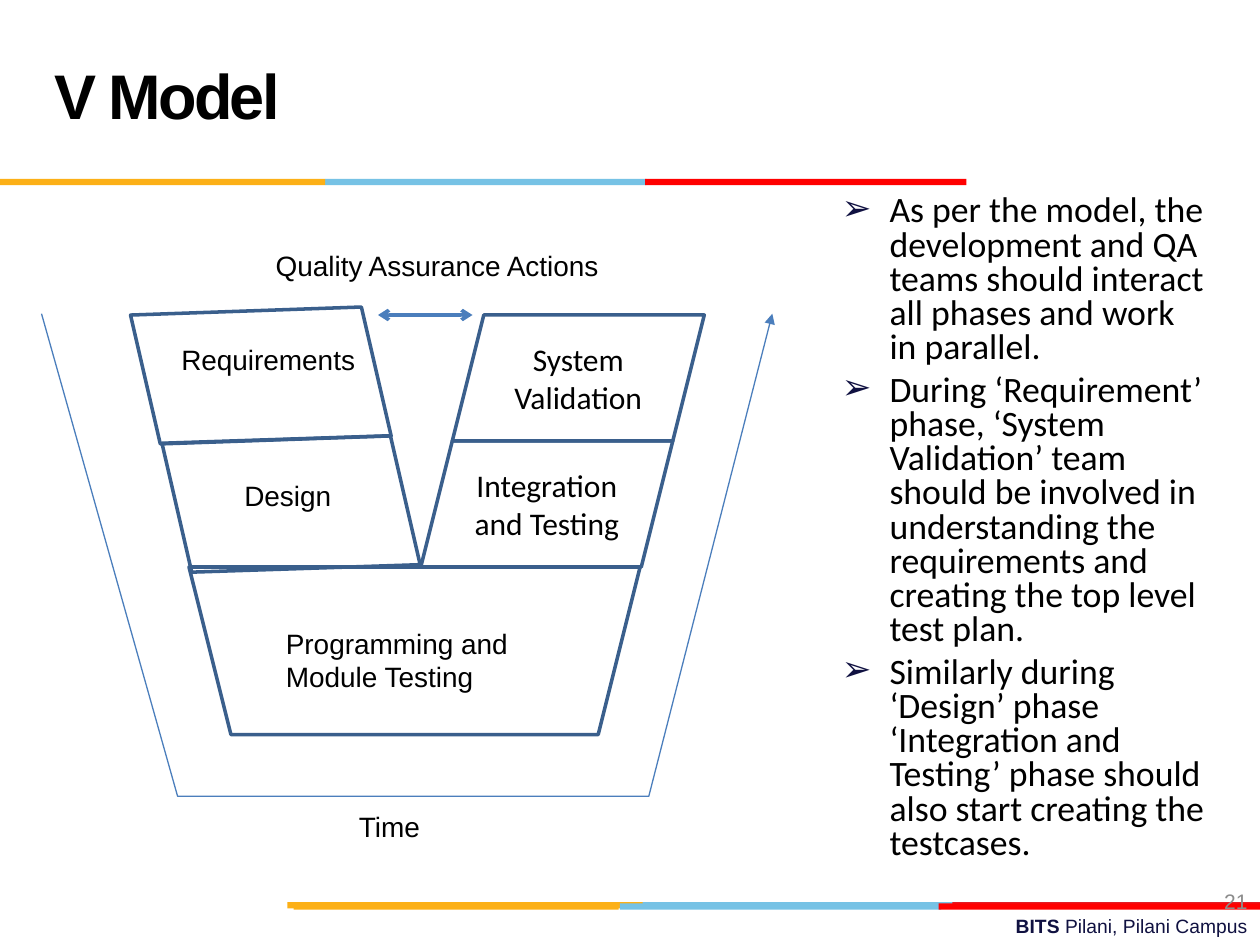
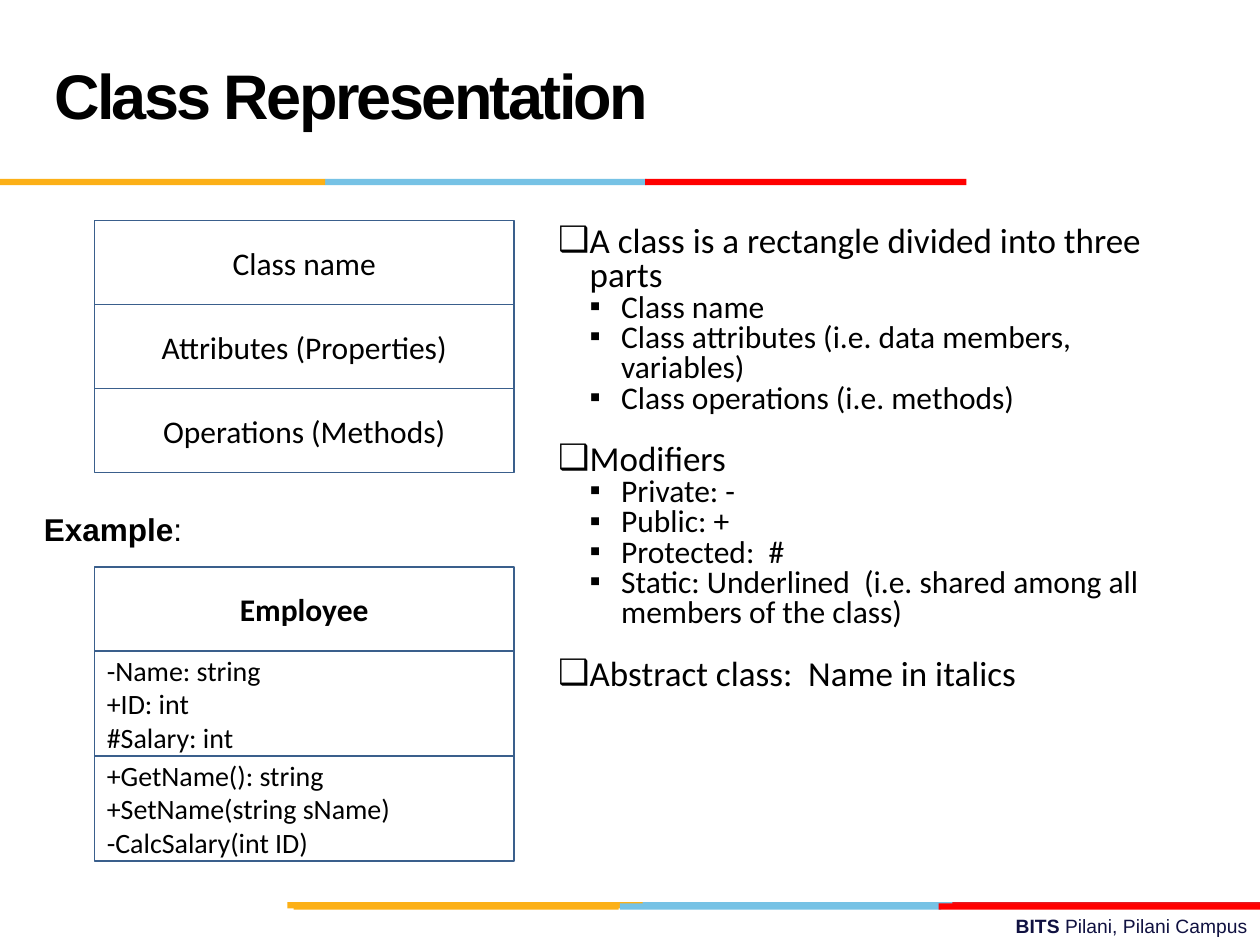
from lxml import etree
from pptx import Presentation
from pptx.dml.color import RGBColor
from pptx.enum.shapes import MSO_CONNECTOR, MSO_SHAPE
from pptx.enum.text import MSO_ANCHOR, MSO_AUTO_SIZE, PP_ALIGN
from pptx.oxml.ns import qn
from pptx.util import Inches, Pt

# Shared look
BLACK = RGBColor(0x00, 0x00, 0x00)
NAVY = RGBColor(0x10, 0x11, 0x41)
GRAY = RGBColor(0x8C, 0x8C, 0x8C)
GOLD = RGBColor(0xFC, 0xB0, 0x17)
SKY = RGBColor(0x76, 0xC2, 0xE5)
CRIMSON = RGBColor(0xE3, 0x1C, 0x24)
RED = RGBColor(0xFF, 0x00, 0x00)
EDGE = RGBColor(0x3A, 0x5F, 0x8C)
ARROW = RGBColor(0x4B, 0x7E, 0xBC)
HEAD, BODY = "Arial", "Calibri"

BAND = 0.05
BANDS = [  # left, top, width, colour
    (5.06, 7.16, 2.55, SKY), (7.56, 7.16, 2.44, CRIMSON), (2.28, 7.16, 2.82, GOLD),
    (4.92, 7.17, 2.55, SKY), (2.33, 7.17, 2.58, GOLD), (7.45, 7.17, 2.55, RED),
    (2.58, 1.42, 2.55, SKY), (0, 1.42, 2.58, GOLD), (5.12, 1.42, 2.55, RED),
]
FOOTER = ("BITS ", "Pilani, Pilani Campus")

# V Model content
PHASES = [  # preset, box, rotation, text
    (MSO_SHAPE.PARALLELOGRAM, (3.59, 2.5, 2, 1), 0, "System Validation"),
    (MSO_SHAPE.PARALLELOGRAM, (3.34, 3.5, 2, 1), 0, "Integration and Testing"),
    (MSO_SHAPE.PARALLELOGRAM, (1.61, 3.11, 1.4, 1.78), 77, ""),
    (MSO_SHAPE.PARALLELOGRAM, (1.37, 2.08, 1.4, 1.8), 77, ""),
    (MSO_SHAPE.TRAPEZOID, (1.5, 4.5, 3.58, 1.33), 180, ""),
]
LABELS = [
    ((2.17, 4.92, 2.28, 0.64), "Programming and\nModule Testing"),
    ((1.84, 3.75, 0.92, 0.37), "Design"),
    ((1.34, 2.67, 1.58, 0.37), "Requirements"),
    ((2.75, 6.38, 0.92, 0.37), "Time"),
    ((2.09, 1.92, 2.83, 0.37), "Quality Assurance Actions"),
]
TIME = [(0.33, 2.49), (1.41, 6.32), (5.15, 6.32), (6.13, 2.49)]
NOTES = [
    "As per the model, the development and QA teams should interact all phases "
    "and work in parallel.",
    "During ‘Requirement’ phase, ‘System Validation’ team should be involved in "
    "understanding the requirements and creating the top level test plan.",
    "Similarly during ‘Design’ phase ‘Integration and Testing’ phase should also "
    "start creating the testcases.",
]

# Class Representation content
PARTS = ["Class name", "Attributes (Properties)", "Operations (Methods)"]
SAMPLE = [
    "Employee",
    "-Name: string\n+ID: int\n#Salary: int",
    "+GetName(): string\n+SetName(string sName)\n-CalcSalary(int ID)",
]
RULES = [
    ("A class is a rectangle divided into three parts",
     ["Class name", "Class attributes (i.e. data members, variables)",
      "Class operations (i.e. methods)"]),
    ("Modifiers",
     ["Private: -", "Public: +", "Protected:  #",
      "Static: Underlined  (i.e. shared among all members of the class)"]),
    ("Abstract class:  Name in italics", []),
]


def inch(box):
    return [Inches(v) for v in box]


def style(para, size, face=HEAD, color=BLACK, bold=False, align=PP_ALIGN.LEFT):
    para.alignment = align
    for run in para.runs:
        font = run.font
        font.size, font.name, font.bold = Pt(size), face, bold
        font.color.rgb = color


def write(frame, text, size, **look):
    frame.text = text
    for para in frame.paragraphs:
        style(para, size, **look)


def label(slide, box, text, size, **look):
    frame = slide.shapes.add_textbox(*inch(box)).text_frame
    frame.word_wrap = True
    write(frame, text, size, **look)
    return frame


def lead(slide, box, words, size, **look):
    """Label whose first part is bold and the rest is plain."""
    frame = label(slide, box, words[0], size, **look)
    para = frame.paragraphs[0]
    para.add_run().text = words[1]
    style(para, size, **look)
    para.runs[0].font.bold = True


def draw(slide, kind, box, fill=None, width=0):
    shape = slide.shapes.add_shape(kind, *inch(box))
    shape.shadow.inherit = False
    if fill is None:
        shape.fill.background()
    else:
        shape.fill.solid()
        shape.fill.fore_color.rgb = fill
    if width:
        shape.line.color.rgb, shape.line.width = EDGE, Pt(width)
    else:
        shape.line.fill.background()
    shape.text_frame.vertical_anchor = MSO_ANCHOR.MIDDLE
    return shape


def tip(shape, **ends):
    line = shape.line._get_or_add_ln()
    for end, kind in ends.items():
        etree.SubElement(line, qn(f"a:{end}")).set("type", kind)


def bullet(para, mark, left, hang, color):
    props = para._p.get_or_add_pPr()
    props.set("marL", str(Inches(left)))
    props.set("indent", str(-Inches(hang)))
    tint = etree.SubElement(props, qn("a:buClr"))
    etree.SubElement(tint, qn("a:srgbClr")).set("val", str(color))
    etree.SubElement(props, qn("a:buChar")).set("char", mark)


def listing(slide, box, items):
    """Items: text, size, mark, level, left, hang, mark colour, space before."""
    body = slide.placeholders[1]
    body.left, body.top, body.width, body.height = inch(box)
    frame = body.text_frame
    frame.auto_size = MSO_AUTO_SIZE.NONE
    frame.text = "\n".join(item[0] for item in items)
    for para, item in zip(frame.paragraphs, items):
        _, size, mark, level, left, hang, color, gap = item
        para.level = level
        para.line_spacing, para.space_before = 0.8, Pt(gap)
        bullet(para, mark, left, hang, color)
        style(para, size, face=BODY)


def page(deck, name):
    slide = deck.slides.add_slide(deck.slide_layouts[1])
    # Bands and footer
    for left, top, width, color in BANDS:
        draw(slide, MSO_SHAPE.RECTANGLE, (left, top, width, BAND), color)
    lead(slide, (3.58, 7.21, 6.42, 0.29), FOOTER, 11, color=NAVY, align=PP_ALIGN.RIGHT)
    # Title
    title = slide.shapes.title
    title.left, title.top, title.width, title.height = inch((0.33, 0.17, 6.92, 1.25))
    frame = title.text_frame
    frame.auto_size = MSO_AUTO_SIZE.NONE
    frame.vertical_anchor = MSO_ANCHOR.MIDDLE
    write(frame, name, 36, bold=True)
    para = frame.paragraphs[0]
    para.line_spacing = Pt(36)
    para.runs[0].font._element.set("spc", "-150")
    return slide


def model(deck):
    slide = page(deck, "V Model")
    frame = label(slide, (7.67, 6.95, 2.33, 0.4), "21", 12, color=GRAY,
                  align=PP_ALIGN.RIGHT)
    frame.vertical_anchor = MSO_ANCHOR.MIDDLE
    # Phases of the V
    for kind, box, turn, text in PHASES:
        shape = draw(slide, kind, box, width=2)
        shape.rotation = turn
        if text:
            write(shape.text_frame, text, 18, face=BODY, align=PP_ALIGN.CENTER)
    for box, text in LABELS:
        label(slide, box, text, 16)
    # Time arrow
    start, *rest = [inch(point) for point in TIME]
    path = slide.shapes.build_freeform(*start)
    path.add_line_segments(rest, close=False)
    time = path.convert_to_shape()
    time.shadow.inherit = False
    time.fill.background()
    time.line.color.rgb, time.line.width = ARROW, Pt(0.75)
    tip(time, tailEnd="triangle")
    # Quality arrow
    link = slide.shapes.add_connector(MSO_CONNECTOR.STRAIGHT, *inch((3, 2.5, 3.75, 2.5)))
    link.line.color.rgb, link.line.width = ARROW, Pt(2)
    tip(link, headEnd="arrow", tailEnd="arrow")
    etree.SubElement(link._element.spPr, qn("a:effectLst"))
    # Notes
    listing(slide, (6.58, 1.5, 3.08, 5.58),
            [(text, 20.4, "➢", 0, 0.38, 0.38, NAVY, 4.5 if i else 0)
             for i, text in enumerate(NOTES)])


def stack(slide, top, heights, texts, bold=False):
    """Class box: rows one under another, long rows set left."""
    for height, text in zip(heights, texts):
        shape = draw(slide, MSO_SHAPE.RECTANGLE, (0.75, top, 3.33, height), width=1)
        if "\n" in text:
            write(shape.text_frame, text, 16, face=BODY)
        else:
            write(shape.text_frame, text, 18, face=BODY, bold=bold,
                  align=PP_ALIGN.CENTER)
        top += height


def classes(deck):
    slide = page(deck, "Class Representation")
    # Class boxes
    stack(slide, 1.75, [2 / 3] * 3, PARTS)
    lead(slide, (0.25, 4, 1.31, 0.4), ("Example", ":"), 18)
    stack(slide, 4.5, [2 / 3, 5 / 6, 5 / 6], SAMPLE, bold=True)
    # Rules
    items = []
    for head, subs in RULES:
        items.append((head, 20, "❑", 0, 0.25, 0.25, BLACK, 17 if items else 0))
        items += [(sub, 18, "▪", 1, 0.5, 0.25, BLACK, 0) for sub in subs]
    listing(slide, (4.33, 1.75, 5.25, 4.95), items)


def main():
    deck = Presentation()
    deck.slide_width, deck.slide_height = Inches(10), Inches(7.5)
    model(deck)
    classes(deck)
    deck.save("out.pptx")


if __name__ == "__main__":
    main()
